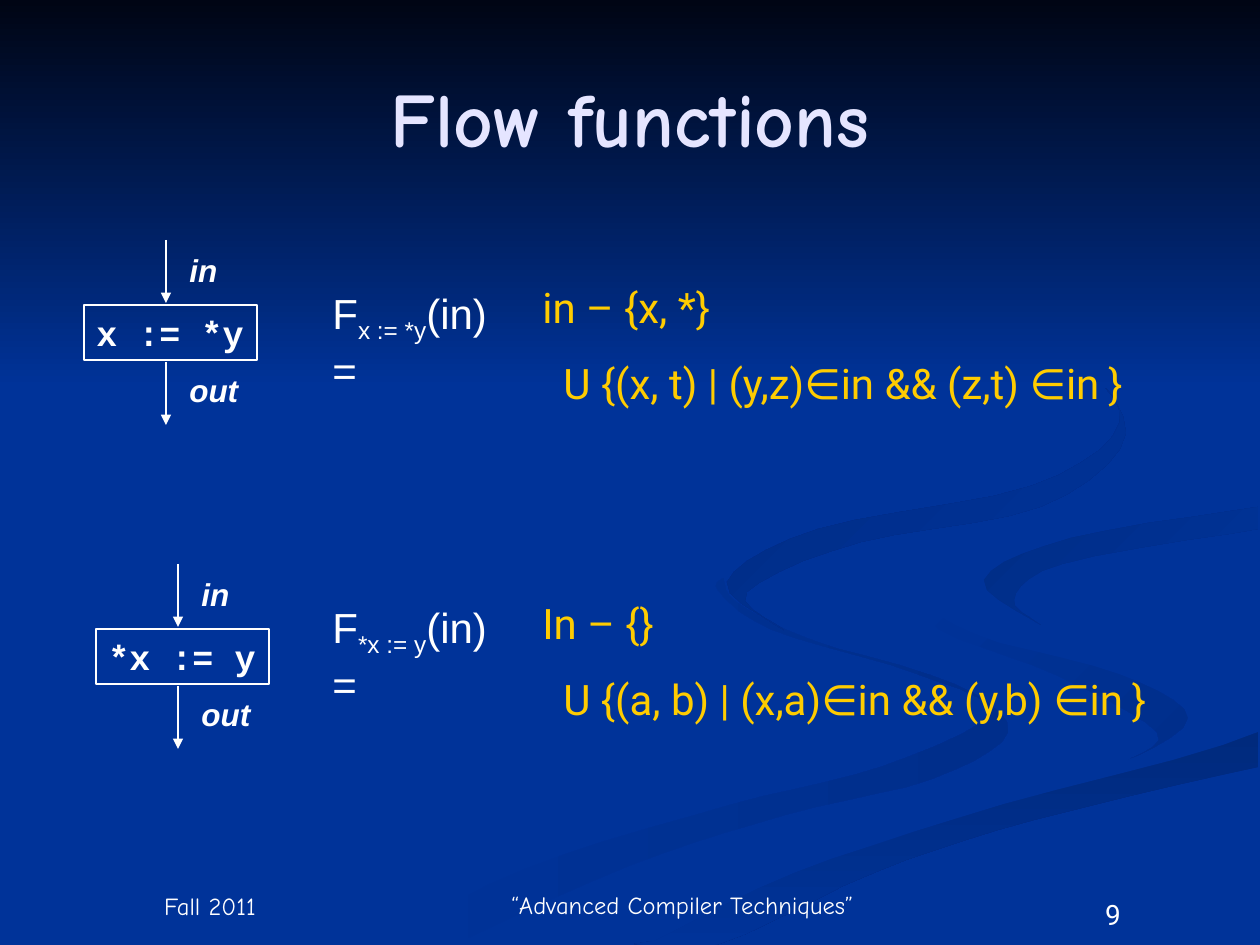
from dataclasses import dataclass
from typing import NamedTuple, Optional

import lxml.etree
import pptx
import pptx.dml.color
import pptx.enum.shapes
import pptx.enum.text
import pptx.oxml.ns
import pptx.util

EMU_PER_PX = 914400 / 126
COLOURS = {
    "background": "003399", "night": "000514", "white": "FFFFFF",
    "title": "E5E5FF", "gold": "FFCC00",
    "shade 1": "002E8B", "shade 2": "002A7D", "shade 3": "002D86", "shade 4": "002B82",
}
ALIGN = pptx.enum.text.PP_ALIGN
ANCHOR = pptx.enum.text.MSO_ANCHOR
Edge = list[tuple[int, int]]


class Box(NamedTuple):
    left: int
    top: int
    width: int
    height: int


class Piece(NamedTuple):
    text: str
    size: Optional[int] = None
    baseline: int = 0


@dataclass
class Ribbon:
    start: str
    end: str
    angle: int  # clockwise degrees
    outer: Edge
    inner: Edge


@dataclass
class FlowRule:
    statement: str
    node: Box
    formula_top: int
    effect: Box
    removed: str
    added: str


# Edges that neighbouring ribbons share
BEND = [(912, 585), (975, 634), (1119, 674), (1188, 718)]
BANK = [(654, 941), (794, 873), (1004, 804), (1258, 732)]
CREST = [(984, 580), (1071, 538), (1258, 507)]

# Background ribbons, back to front
RIBBONS = [
    Ribbon("background", "shade 1", 0,
           [(378, 944), (525, 869), (730, 805), (881, 767), (990, 713), (917, 674),
            (770, 629), (718, 590), (724, 578)],
           [(455, 944), (629, 866), (785, 815), (932, 779), (1008, 732), (954, 684),
            (809, 639), (735, 601), (724, 578)]),
    Ribbon("background", "shade 1", 45, BEND + [(1126, 762)],
           [BEND[0], (940, 630), (1056, 675), (1157, 732), (1126, 762)]),
    Ribbon("shade 2", "background", 90, BANK,
           [(634, 944), (719, 944), (876, 872), (1034, 820), (1258, 767)]),
    Ribbon("background", "background", 0,
           [(601, 944), (835, 842), (1110, 766), *reversed(BEND),
            (970, 538), (1159, 505), (1258, 488)],
           BANK + [(1258, 678), (1048, 627)] + CREST),
    Ribbon("shade 3", "background", 45, [(1041, 625)] + CREST,
           [(1041, 625), (1014, 600), (1062, 564), (1258, 529)]),
    Ribbon("shade 4", "background", 45,
           [(784, 630), (727, 582), (818, 529), (1031, 486), (1120, 422), (1066, 352), (960, 294)],
           [(784, 630), (747, 592), (861, 542), (1040, 507), (1126, 433), (1062, 346), (960, 294)]),
    Ribbon("night", "background", 90, [(0, 0), (1260, 0)], [(0, 388), (1260, 388)]),
]

RULES = [
    FlowRule("x := *y", Box(84, 305, 173, 55), 281, Box(530, 275, 675, 140),
             "in – {x, *}", "U {(x, t) | (y,z)∈in && (z,t) ∈in"),
    FlowRule("*x := y", Box(96, 629, 173, 55), 595, Box(530, 591, 719, 140),
             "In – {}", "U {(a, b) | (x,a)∈in && (y,b) ∈in"),
]


def px(value: int) -> pptx.util.Emu:
    return pptx.util.Emu(round(value * EMU_PER_PX))


def colour(name: str) -> pptx.dml.color.RGBColor:
    return pptx.dml.color.RGBColor.from_string(COLOURS[name])


def smooth_edge(edge: Edge, steps: int = 5) -> Edge:
    """Run a Catmull-Rom curve through the points of an edge."""
    padded = [edge[0], *edge, edge[-1]]
    curve = []
    for corners in zip(padded, padded[1:], padded[2:], padded[3:]):
        for step in range(steps):
            t = step / steps
            curve.append(tuple(
                round(b + t * (c - a + t * (2 * a - 5 * b + 4 * c - d
                                            + t * (3 * b - a - 3 * c + d))) / 2)
                for a, b, c, d in zip(*corners)))
    return curve + [edge[-1]]


def add_text(slide, box: Box, *paragraphs: list[Piece], font="Arial", size=24, color="white",
             bold=False, italic=False, align=ALIGN.LEFT, anchor=ANCHOR.TOP, wrap=True,
             space_before=0, indents=(), outlined=False) -> None:
    shape = slide.shapes.add_textbox(*map(px, box))
    if outlined:
        shape.line.color.rgb = colour("white")
        shape.line.width = pptx.util.Pt(0.75)
    frame = shape.text_frame
    frame.word_wrap = wrap
    frame.vertical_anchor = anchor
    for index, pieces in enumerate(paragraphs):
        paragraph = frame.paragraphs[0] if index == 0 else frame.add_paragraph()
        paragraph.alignment = align
        paragraph.space_before = pptx.util.Pt(space_before)
        if index < len(indents):
            paragraph._p.get_or_add_pPr().set("marL", str(px(indents[index])))
        for piece in pieces:
            run = paragraph.add_run()
            run.text = piece.text
            run.font.name = font
            run.font.size = pptx.util.Pt(piece.size or size)
            run.font.bold, run.font.italic = bold, italic
            run.font.color.rgb = colour(color)
            if piece.baseline:
                run._r.get_or_add_rPr().set("baseline", str(piece.baseline * 1000))


def add_ribbon(slide, ribbon: Ribbon) -> None:
    outline = smooth_edge(ribbon.outer) + smooth_edge(ribbon.inner)[::-1]
    builder = slide.shapes.build_freeform(*outline[0], scale=EMU_PER_PX)
    builder.add_line_segments(outline[1:], close=True)
    shape = builder.convert_to_shape()
    shape.shadow.inherit = False
    shape.line.fill.background()
    if ribbon.start == ribbon.end:
        shape.fill.solid()
        shape.fill.fore_color.rgb = colour(ribbon.start)
        return
    shape.fill.gradient()
    shape.fill.gradient_angle = (360 - ribbon.angle) % 360
    for stop, position, name in zip(shape.fill.gradient_stops, (0, 1), (ribbon.start, ribbon.end)):
        stop.position = position
        stop.color.rgb = colour(name)


def add_arrow(slide, x: int, top: int, bottom: int) -> None:
    arrow = slide.shapes.add_connector(
        pptx.enum.shapes.MSO_CONNECTOR.STRAIGHT, px(x), px(top), px(x), px(bottom))
    arrow.line.color.rgb = colour("white")
    arrow.line.width = pptx.util.Pt(0.75)
    qn = pptx.oxml.ns.qn
    lxml.etree.SubElement(arrow.line._get_or_add_ln(), qn("a:tailEnd"), type="triangle")
    lxml.etree.SubElement(arrow._element.spPr, qn("a:effectLst"))


def add_rule(slide, rule: FlowRule) -> None:
    left, top = rule.node.left, rule.node.top
    # Statement node with its incoming and outgoing edges
    add_text(slide, rule.node, [Piece(rule.statement)], font="Courier New", size=20,
             bold=True, wrap=False, outlined=True)
    for label, width, label_top, start in (("in", 53, -60, -65), ("out", 74, 60, 57)):
        add_text(slide, Box(left + 93, top + label_top, width, 50), [Piece(label)], size=18,
                 bold=True, italic=True, wrap=False)
        add_arrow(slide, left + 82, top + start, top + start + 63)
    # Flow function and its result
    add_text(slide, Box(320, rule.formula_top, 215, 71),
             [Piece("F"), Piece(rule.statement, baseline=-25), Piece("(in) =")], wrap=False)
    add_text(slide, rule.effect, [Piece(rule.removed)],
             [Piece(rule.added), Piece(" ", size=20), Piece("}")],
             font="Roboto", color="gold", space_before=15, indents=(0, 21))


def main() -> None:
    presentation = pptx.Presentation()
    presentation.slide_width, presentation.slide_height = px(1260), px(945)
    slide = presentation.slides.add_slide(presentation.slide_layouts[6])
    slide.background.fill.solid()
    slide.background.fill.fore_color.rgb = colour("background")
    for ribbon in RIBBONS:
        add_ribbon(slide, ribbon)
    # Title and footer
    add_text(slide, Box(63, 38, 1134, 157), [Piece("Flow functions")], font="Comic Neue",
             size=44, color="title", bold=True, align=ALIGN.CENTER, anchor=ANCHOR.MIDDLE)
    for text, box in (("Fall 2011", Box(63, 882, 294, 45)),
                      ("“Advanced Compiler Techniques”", Box(483, 882, 399, 44))):
        add_text(slide, box, [Piece(text)], font="Comic Neue", size=14,
                 align=ALIGN.CENTER, anchor=ANCHOR.BOTTOM)
    add_text(slide, Box(1008, 891, 210, 50), [Piece("9")], font="Roboto", size=16,
             align=ALIGN.CENTER, space_before=10)
    for rule in RULES:
        add_rule(slide, rule)
    presentation.save("out.pptx")


if __name__ == "__main__":
    main()
